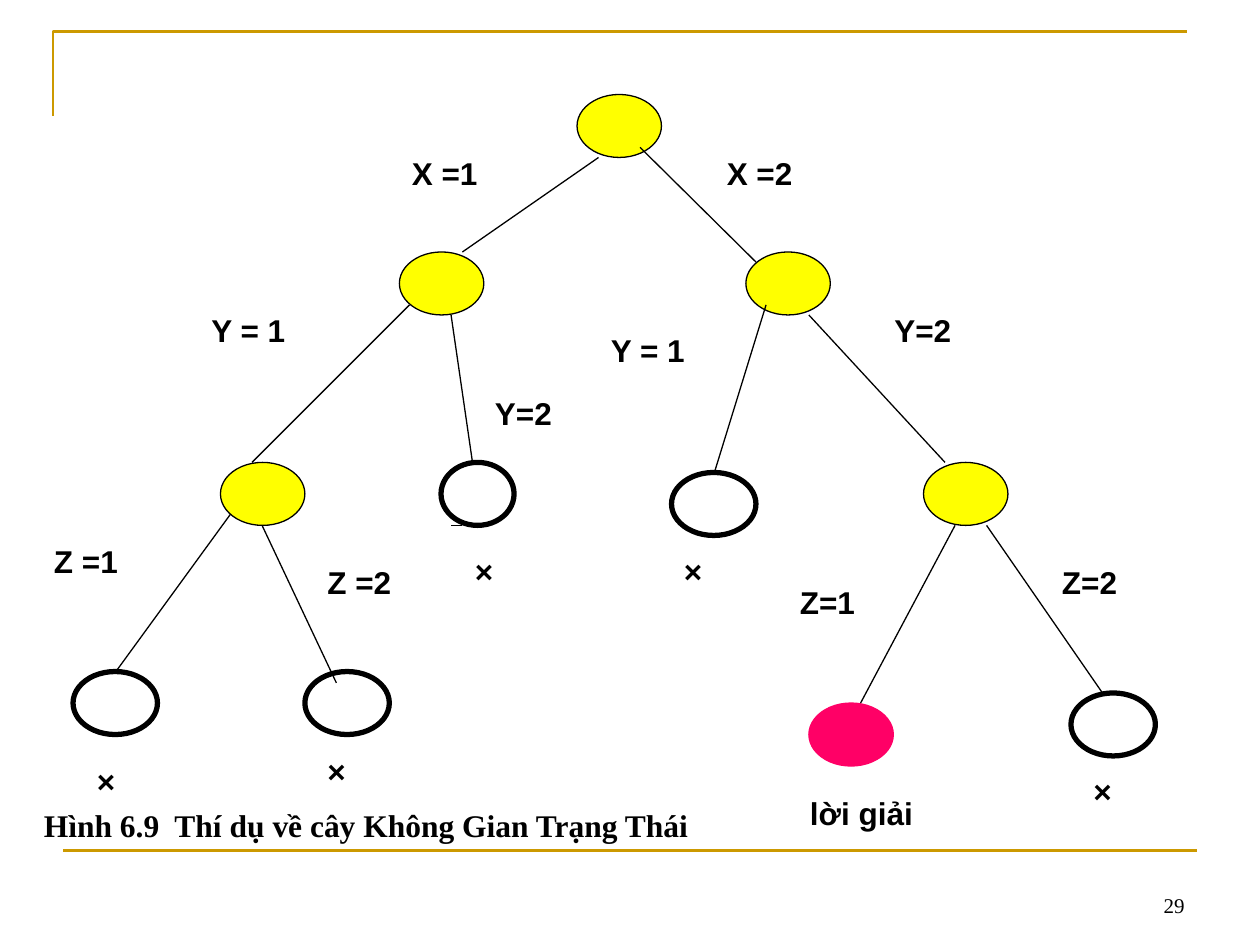
from lxml.etree import SubElement
from pptx import Presentation
from pptx.dml.color import RGBColor
from pptx.enum.shapes import MSO_CONNECTOR, MSO_SHAPE
from pptx.enum.text import MSO_ANCHOR, MSO_AUTO_SIZE, PP_ALIGN
from pptx.oxml.ns import qn
from pptx.util import Inches, Pt

BLACK = RGBColor(0x00, 0x00, 0x00)
GOLD = RGBColor(0xCC, 0x99, 0x00)
YELLOW = RGBColor(0xFF, 0xFF, 0x00)
PINK = RGBColor(0xFF, 0x00, 0x66)

NODE_WIDTH, NODE_HEIGHT, LABEL_HEIGHT = 0.67, 0.5, 0.4

# Node styles: fill, line colour, line width
STYLES = {
    "open": (YELLOW, BLACK, 0.75),
    "dead": (None, BLACK, 3),
    "solution": (PINK, PINK, 0.75),
}

# Tree nodes: style, left, top, width
NODES = [
    ("open", 4.58, 0.75, NODE_WIDTH),
    ("open", 3.17, 2, NODE_WIDTH),
    ("open", 5.92, 2, NODE_WIDTH),
    ("open", 1.75, 3.67, NODE_WIDTH),
    ("dead", 3.5, 3.67, 0.58),
    ("dead", 5.33, 3.75, NODE_WIDTH),
    ("open", 7.33, 3.67, NODE_WIDTH),
    ("dead", 0.58, 5.33, NODE_WIDTH),
    ("dead", 2.42, 5.33, NODE_WIDTH),
    ("solution", 6.42, 5.58, NODE_WIDTH),
    ("dead", 8.5, 5.5, NODE_WIDTH),
]

# Branches: start x, start y, end x, end y
BRANCHES = [
    (4.75, 1.25, 3.67, 2), (5.08, 1.17, 6, 2.08),
    (3.25, 2.42, 2, 3.67), (3.58, 2.5, 3.75, 3.67),
    (6.08, 2.42, 5.67, 3.75), (6.42, 2.5, 7.5, 3.67),
    (1.83, 4.08, 0.92, 5.33), (2.08, 4.17, 2.67, 5.42),
    (3.67, 4.17, 3.58, 4.17),
    (7.58, 4.17, 6.83, 5.58), (7.83, 4.17, 8.75, 5.5),
]

# Branch labels and leaf marks: text, left, top, width
LABELS = [
    ("X =1", 3.17, 1.17, 0.75), ("X =2", 5.67, 1.17, 0.83),
    ("Y = 1", 1.58, 2.42, 1), ("Y=2", 3.83, 3.08, 0.75),
    ("Y = 1", 4.75, 2.58, 1), ("Y=2", 7, 2.42, 1.17),
    ("Z =1", 0.33, 4.25, 0.92), ("Z =2", 2.5, 4.42, 0.92),
    ("Z=1", 6.25, 4.58, 0.75), ("Z=2", 8.33, 4.42, 1.08),
    ("×", 0.67, 6, 0.42), ("×", 2.5, 5.92, 0.67),
    ("×", 3.67, 4.33, 0.5), ("×", 5.33, 4.33, 0.58),
    ("×", 8.58, 6.08, 0.5), ("lời giải", 6.33, 6.25, 1.25),
]
CAPTION = "Hình 6.9  Thí dụ về cây Không Gian Trạng Thái"
PAGE_NUMBER = "29"


def add_text(slide, text, left, top, width, height=LABEL_HEIGHT, *, font="Arial",
             size=18, bold=True, align=PP_ALIGN.LEFT, anchor=MSO_ANCHOR.TOP,
             fit=MSO_AUTO_SIZE.SHAPE_TO_FIT_TEXT):
    box = slide.shapes.add_textbox(Inches(left), Inches(top), Inches(width), Inches(height))
    frame = box.text_frame
    frame.word_wrap = True
    frame.auto_size = fit
    frame.vertical_anchor = anchor
    paragraph = frame.paragraphs[0]
    paragraph.alignment = align
    run = paragraph.add_run()
    run.text = text
    run.font.name = font
    run.font.size = Pt(size)
    run.font.bold = bold
    run.font.color.rgb = BLACK


def add_line(slide, x1, y1, x2, y2, color=BLACK, weight=0.75):
    line = slide.shapes.add_connector(
        MSO_CONNECTOR.STRAIGHT, Inches(x1), Inches(y1), Inches(x2), Inches(y2))
    line.line.color.rgb = color
    line.line.width = Pt(weight)
    SubElement(line._element.spPr, qn("a:effectLst"))


def style_shape(shape, fill, color, weight):
    shape.shadow.inherit = False
    if fill is None:
        shape.fill.background()
    else:
        shape.fill.solid()
        shape.fill.fore_color.rgb = fill
    shape.line.color.rgb = color
    shape.line.width = Pt(weight)


def main():
    deck = Presentation()
    deck.slide_width, deck.slide_height = Inches(10), Inches(7.5)
    slide = deck.slides.add_slide(deck.slide_layouts[6])

    # Gold frame: top corner and bottom rule
    builder = slide.shapes.build_freeform(Inches(0.42), Inches(0.92))
    builder.add_line_segments(
        [(Inches(0.42), Inches(0.25)), (Inches(9.42), Inches(0.25))], close=False)
    style_shape(builder.convert_to_shape(), None, GOLD, 1.5)
    add_line(slide, 0.5, 6.75, 9.5, 6.75, GOLD, 1.5)

    # State space tree
    for style, left, top, width in NODES:
        node = slide.shapes.add_shape(
            MSO_SHAPE.OVAL, Inches(left), Inches(top), Inches(width), Inches(NODE_HEIGHT))
        style_shape(node, *STYLES[style])
    for branch in BRANCHES:
        add_line(slide, *branch)
    for label in LABELS:
        add_text(slide, *label)

    # Caption and page number
    add_text(slide, CAPTION, 0.25, 6.35, 5.83, font="Times New Roman")
    add_text(slide, PAGE_NUMBER, 7.17, 6.83, 2.33, 0.5, font="Times New Roman", size=12,
             bold=False, align=PP_ALIGN.RIGHT, anchor=MSO_ANCHOR.BOTTOM,
             fit=MSO_AUTO_SIZE.NONE)

    deck.save("out.pptx")


if __name__ == "__main__":
    main()
